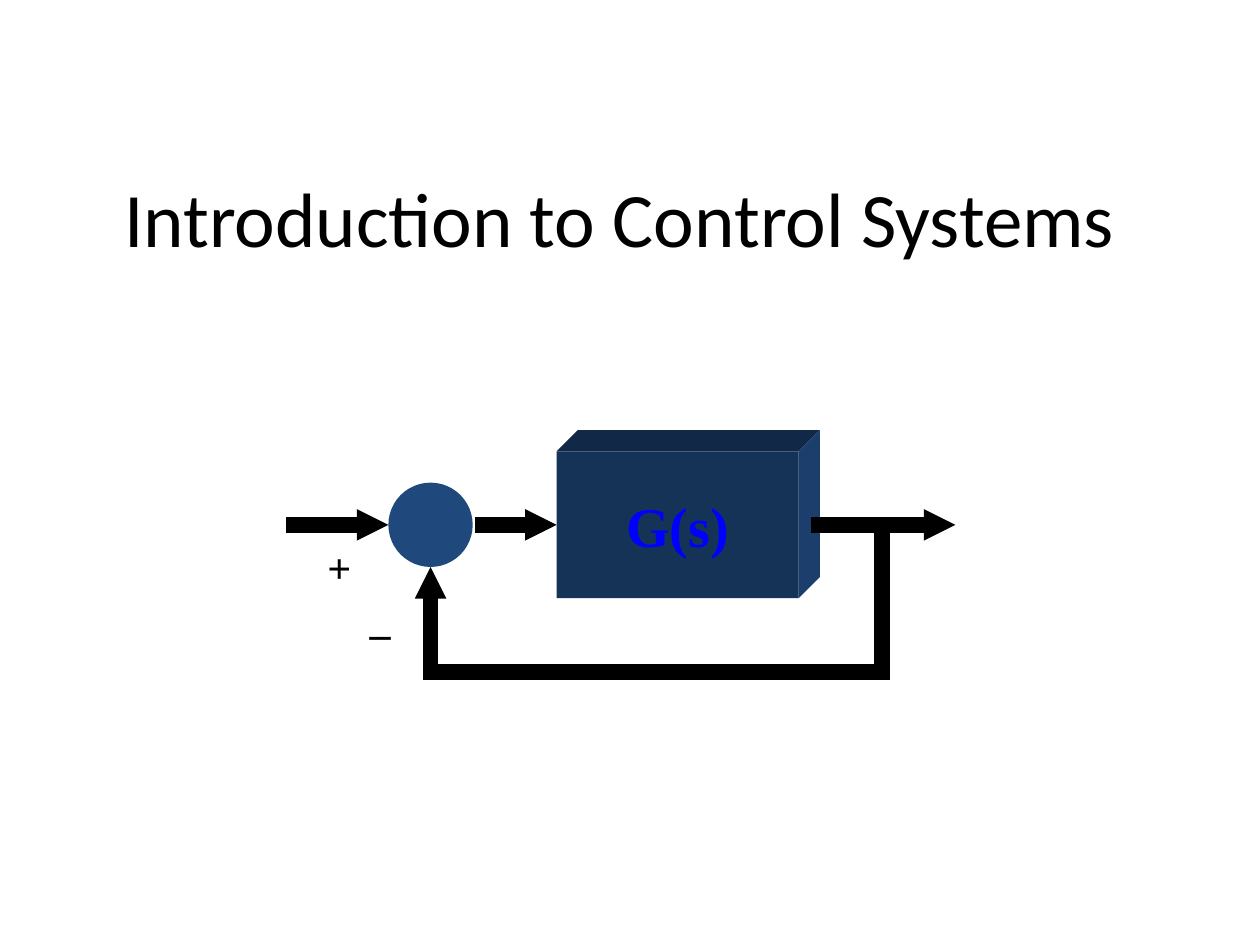
"""Build a title slide with a feedback control loop diagram."""
from lxml import etree
from pptx import Presentation
from pptx import util as u
from pptx.dml.color import RGBColor
from pptx.enum import shapes, text
from pptx.oxml.ns import qn

TITLE = "Introduction to Control Systems"
PLANT = "G(s)"
SIGNS = [("+", 0), ("_", 0.85)]
AXIS, FEEDBACK = 10.58, 13.55
SUM_X, SUM_D, TAP_X = 8.68, 1.7, 17.78
BOX_X, BOX_W, BOX_H, DEPTH = 11.22, 4.88, 2.96, 0.43
BOX_Y = AXIS - BOX_H / 2
RIGHT = BOX_X + BOX_W
FACES = [
    ("122847", [(BOX_X, BOX_Y), (BOX_X + DEPTH, BOX_Y - DEPTH),
                (RIGHT + DEPTH, BOX_Y - DEPTH), (RIGHT, BOX_Y)]),
    ("1B3E6C", [(RIGHT, BOX_Y), (RIGHT + DEPTH, BOX_Y - DEPTH),
                (RIGHT + DEPTH, BOX_Y + BOX_H - DEPTH), (RIGHT, BOX_Y + BOX_H)]),
]
INPUT = ((5.93, AXIS), (SUM_X - SUM_D / 2, AXIS), True)
ERROR = ((9.74, AXIS), (BOX_X, AXIS), True)
OUTPUT = ((16.51, AXIS), (19.26, AXIS), True)
LOOP = [
    ((TAP_X, 10.8), (TAP_X, FEEDBACK), False),
    ((TAP_X, FEEDBACK), (SUM_X, FEEDBACK), False),
    ((SUM_X, FEEDBACK), (SUM_X, AXIS + SUM_D / 2), True),
]


def rgb(value):
    return RGBColor.from_string(value)


def paint(s, color):
    s.shadow.inherit = False
    s.fill.solid()
    s.fill.fore_color.rgb = rgb(color)
    s.line.fill.background()
    return s


def write(p, words, font="Times New Roman", size=24, color="000000",
          bold=False, align=text.PP_ALIGN.LEFT):
    p.alignment = align
    r = p.add_run()
    r.text = words
    r.font.name, r.font.size, r.font.bold = font, u.Pt(size), bold
    r.font.color.rgb = rgb(color)


def add_box(slide, x, y, w, h, anchor=text.MSO_ANCHOR.TOP):
    tf = slide.shapes.add_textbox(u.Cm(x), u.Cm(y), u.Cm(w), u.Cm(h)).text_frame
    tf.word_wrap = True
    tf.vertical_anchor = anchor
    return tf


def add_preset(slide, kind, x, y, w, h, color):
    return paint(slide.shapes.add_shape(kind, u.Cm(x), u.Cm(y), u.Cm(w), u.Cm(h)), color)


def add_face(slide, color, points):
    (x, y), *rest = [(u.Cm(a), u.Cm(b)) for a, b in points]
    builder = slide.shapes.build_freeform(x, y)
    builder.add_line_segments(rest, close=True)
    paint(builder.convert_to_shape(), color)


def add_line(slide, start, end, arrow):
    ends = [u.Cm(v) for v in (*start, *end)]
    s = slide.shapes.add_connector(shapes.MSO_CONNECTOR.STRAIGHT, *ends)
    s.line.width = u.Pt(9)
    s.line.color.rgb = rgb("000000")
    ln = s.line._get_or_add_ln()
    ln.set("cap", "sq")
    if arrow:
        etree.SubElement(ln, qn("a:tailEnd"), type="triangle", w="sm", len="sm")
    etree.SubElement(s._element.spPr, qn("a:effectLst"))
    return s


def main():
    prs = Presentation()
    prs.slide_width, prs.slide_height = u.Cm(25.4), u.Cm(19.05)
    slide = prs.slides.add_slide(prs.slide_layouts[6])
    center, middle = text.PP_ALIGN.CENTER, text.MSO_ANCHOR.MIDDLE

    tf = add_box(slide, 1.7, 1.7, 21.59, 5.33, middle)
    write(tf.paragraphs[0], TITLE, font="Calibri", size=44, align=center)

    for color, points in FACES:
        add_face(slide, color, points)
    plant = add_preset(slide, shapes.MSO_SHAPE.RECTANGLE,
                       BOX_X, BOX_Y, BOX_W, BOX_H, "153356")
    tf = plant.text_frame
    tf.word_wrap, tf.vertical_anchor = False, middle
    write(tf.paragraphs[0], PLANT, size=32, color="0000FF", bold=True, align=center)

    add_preset(slide, shapes.MSO_SHAPE.OVAL, SUM_X - SUM_D / 2, AXIS - SUM_D / 2,
               SUM_D, SUM_D, "1F497D")
    add_line(slide, *INPUT)
    add_line(slide, *ERROR).end_connect(plant, 1)
    for line in (OUTPUT, *LOOP):
        add_line(slide, *line)

    tf = add_box(slide, 6.35, 10.8, 1.9, 2.29)
    for i, (sign, indent) in enumerate(SIGNS):
        p = tf.add_paragraph() if i else tf.paragraphs[0]
        write(p, sign, bold=True)
        p._p.get_or_add_pPr().set("marL", str(u.Cm(indent)))

    prs.save("out.pptx")


if __name__ == "__main__":
    main()
